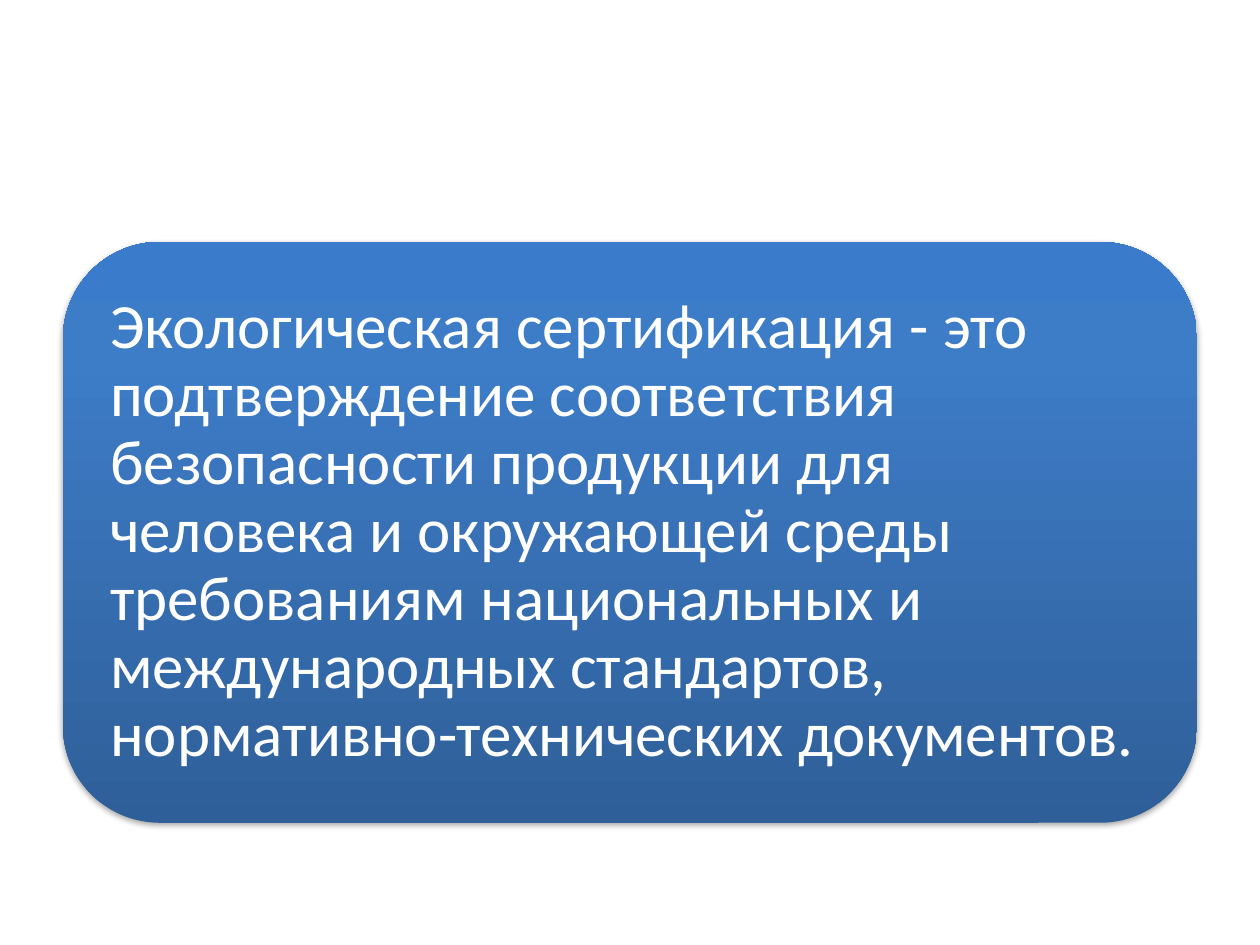
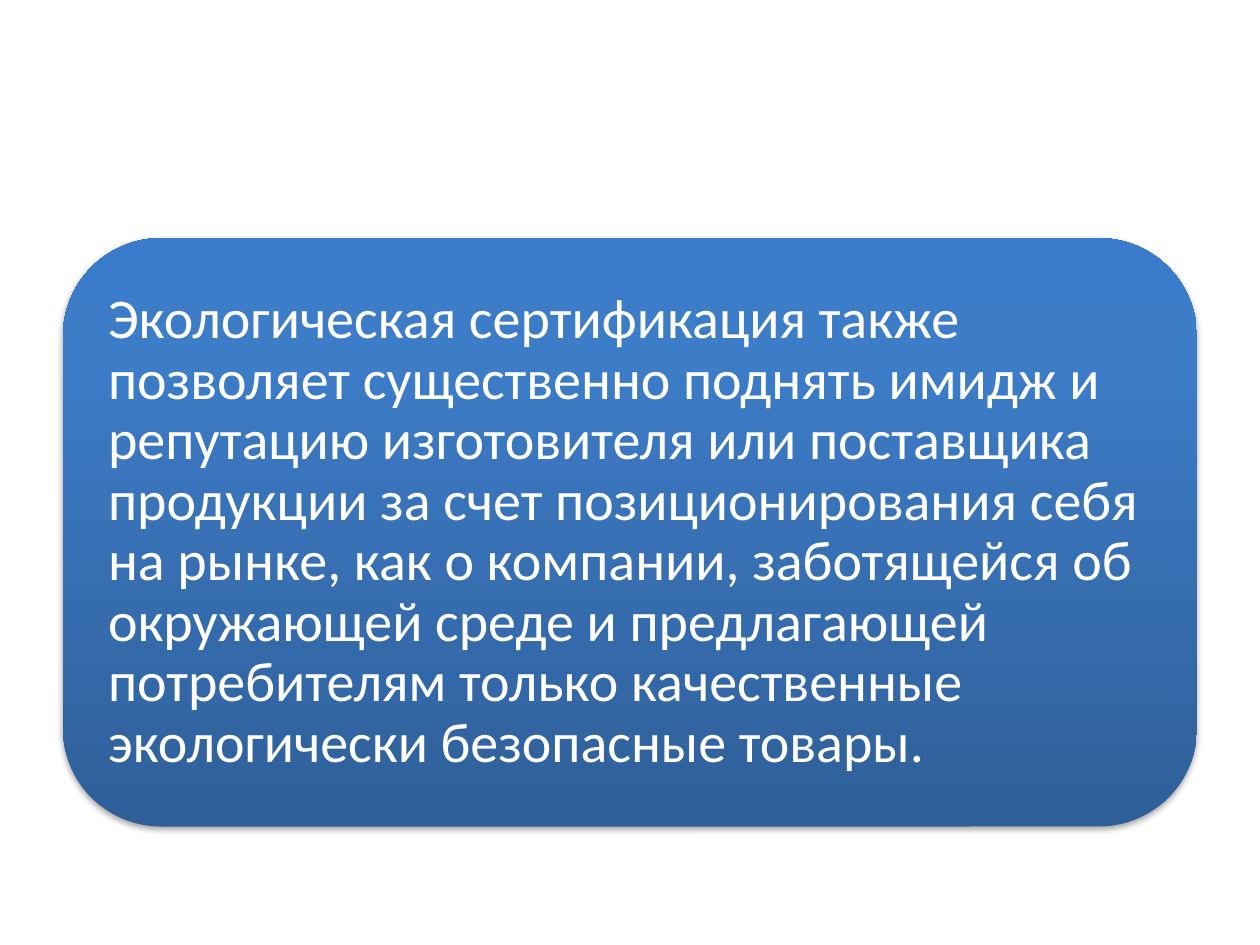
from copy import deepcopy
from dataclasses import dataclass

from lxml.etree import SubElement
from pptx import Presentation
from pptx.dml.color import RGBColor
from pptx.enum.shapes import MSO_SHAPE
from pptx.enum.text import MSO_ANCHOR, PP_ALIGN
from pptx.oxml.ns import qn
from pptx.shapes.autoshape import Shape
from pptx.util import Inches, Pt

WIDE, HIGH = Inches(10), Inches(7.5)
SIDE = Inches(0.5)
WHITE = RGBColor(0xFF, 0xFF, 0xFF)
BLACK = RGBColor(0x00, 0x00, 0x00)
STOPS = (
    (0, RGBColor(0x2F, 0x5F, 0x99)),
    (0.8, RGBColor(0x3D, 0x7C, 0xC7)),
    (1, RGBColor(0x3A, 0x7C, 0xCB)),
)
FONT = "Calibri"


@dataclass
class Panel:
    text: str
    top: float
    high: float
    pad: float
    size: int


PANELS = (
    Panel(
        "Экологическая сертификация - это подтверждение соответствия "
        "безопасности продукции для человека и окружающей среды требованиям "
        "национальных и международных стандартов, "
        "нормативно-технических документов.",
        1.92, 4.61, 0.15, 36,
    ),
    Panel(
        "Экологическая сертификация также позволяет существенно поднять имидж "
        "и репутацию изготовителя или поставщика продукции за счет "
        "позиционирования себя на рынке, как о компании, заботящейся об "
        "окружающей среде и предлагающей потребителям только качественные "
        "экологически безопасные товары.",
        1.89, 4.67, 0.13, 32,
    ),
)


def style(item: object, values: dict) -> None:
    for name, value in values.items():
        setattr(item, name, value)


def paint(shape: Shape) -> None:
    """Fill from dark at the bottom to light at the top."""
    fill = shape.fill
    fill.gradient()
    fill.gradient_angle = 90
    stops = shape._element.spPr.find(".//" + qn("a:gsLst"))
    stops.append(deepcopy(stops[0]))
    for stop, (place, color) in zip(fill.gradient_stops, STOPS):
        stop.position = place
        stop.color.rgb = color
    shape.line.fill.background()


def shade(shape: Shape) -> None:
    """Cast a soft shadow straight down."""
    shape.shadow.inherit = False
    effects = shape._element.spPr.find(qn("a:effectLst"))
    shadow = SubElement(
        effects, qn("a:outerShdw"), blurRad=str(Pt(3.1)), dist=str(Pt(1.8)),
        dir="5400000", rotWithShape="0",
    )
    color = SubElement(shadow, qn("a:srgbClr"), val=str(BLACK))
    SubElement(color, qn("a:alpha"), val="35000")


def write(shape: Shape, panel: Panel) -> None:
    frame = shape.text_frame
    pad = Inches(panel.pad)
    style(frame, {
        "text": panel.text,
        "word_wrap": True,
        "vertical_anchor": MSO_ANCHOR.MIDDLE,
        "margin_left": pad,
        "margin_right": pad,
        "margin_top": pad,
        "margin_bottom": pad,
    })
    para = frame.paragraphs[0]
    style(para, {"alignment": PP_ALIGN.LEFT, "line_spacing": 0.9})
    font = para.runs[0].font
    style(font, {"name": FONT, "size": Pt(panel.size)})
    font.color.rgb = WHITE


def main() -> None:
    deck = Presentation()
    style(deck, {"slide_width": WIDE, "slide_height": HIGH})
    blank = deck.slide_layouts.get_by_name("Blank")
    for panel in PANELS:
        slide = deck.slides.add_slide(blank)
        shape = slide.shapes.add_shape(
            MSO_SHAPE.ROUNDED_RECTANGLE, SIDE, Inches(panel.top),
            WIDE - 2 * SIDE, Inches(panel.high),
        )
        paint(shape)
        shade(shape)
        write(shape, panel)
    deck.save("out.pptx")


if __name__ == "__main__":
    main()
